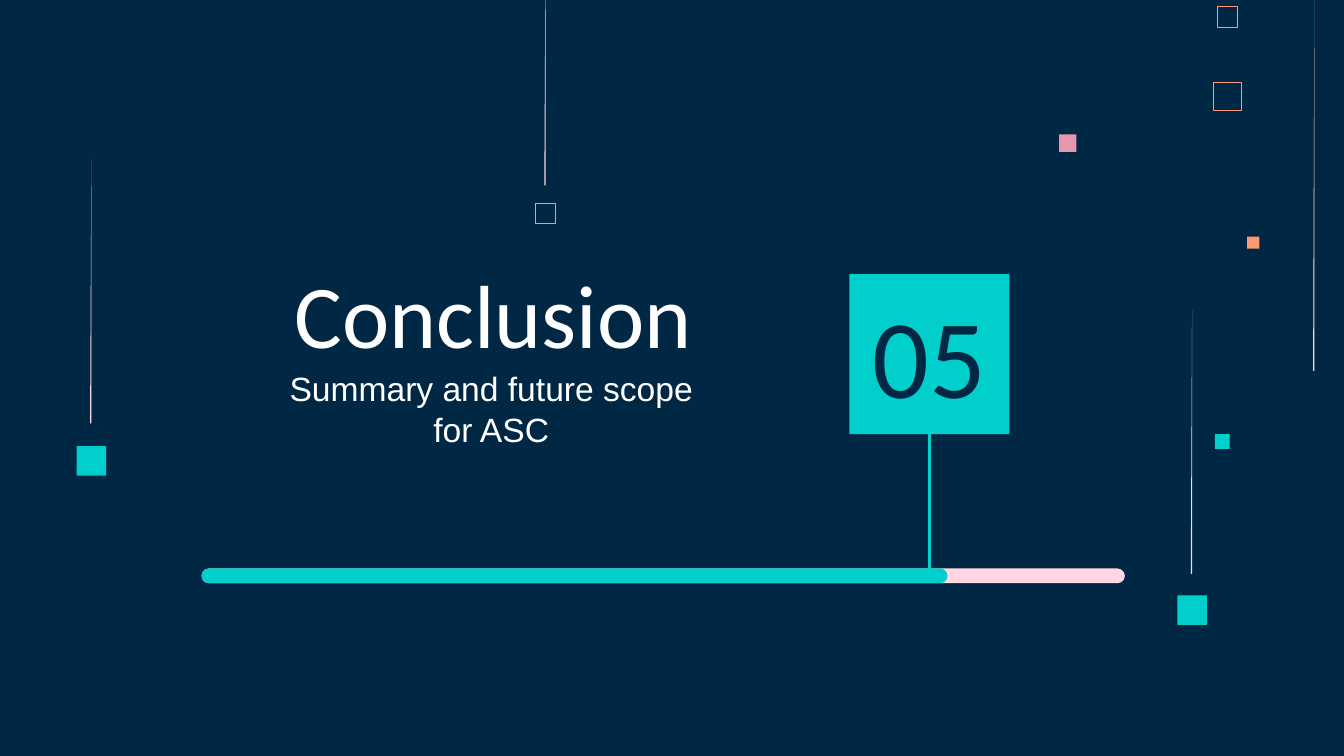
from lxml import etree
from pptx import Presentation
from pptx.dml.color import RGBColor
from pptx.enum.shapes import MSO_CONNECTOR, MSO_SHAPE
from pptx.enum.text import MSO_ANCHOR, MSO_AUTO_SIZE, PP_ALIGN
from pptx.oxml.ns import qn
from pptx.util import Inches, Pt

RECT, ROUNDED = MSO_SHAPE.RECTANGLE, MSO_SHAPE.ROUNDED_RECTANGLE
STRAIGHT = MSO_CONNECTOR.STRAIGHT
TOP, MIDDLE, BOTTOM = MSO_ANCHOR.TOP, MSO_ANCHOR.MIDDLE, MSO_ANCHOR.BOTTOM
CENTER, NO_FIT = PP_ALIGN.CENTER, MSO_AUTO_SIZE.NONE

NAVY, TEAL, PINK, ROSE, ORANGE, WHITE = (
    "002845", "00CFCC", "FFD6E1", "E898AC", "FF9973", "FFFFFF")


def rgb(value):
    return RGBColor.from_string(value)


class Deck:
    """Holds the style and the current slide."""

    heading, body = "Calibri", "Arial"

    def __init__(self, s):
        self.s = s
        s.background.fill.solid()
        s.background.fill.fore_color.rgb = rgb(NAVY)

    def paint(self, sp, fill=None, line=None, width=0.5):
        sp.shadow.inherit = False
        if fill:
            sp.fill.solid()
            sp.fill.fore_color.rgb = rgb(fill)
        else:
            sp.fill.background()
        if line:
            sp.line.color.rgb = rgb(line)
            sp.line.width = Pt(width)
        else:
            sp.line.fill.background()
        return sp

    def box(self, x, y, w, h, kind=RECT, **look):
        sp = self.s.shapes.add_shape(kind, Inches(x), Inches(y), Inches(w), Inches(h))
        if kind == ROUNDED:
            sp.adjustments[0] = 0.5
        return self.paint(sp, **look)

    def needle(self, x, y, h):
        """Thin streak that tapers to a point at the top."""
        right, bottom = Inches(x + 0.01), Inches(y + h)
        builder = self.s.shapes.build_freeform(right, Inches(y))
        builder.add_line_segments([(Inches(x), bottom), (right, bottom)], close=True)
        return self.paint(builder.convert_to_shape(), fill=PINK)

    def text(self, sp, words, place, size, color, font, anchor):
        sp.left, sp.top, sp.width, sp.height = map(Inches, place)
        tf = sp.text_frame
        frame = {"word_wrap": True, "auto_size": NO_FIT, "vertical_anchor": anchor}
        frame.update({f"margin_{side}": Inches(0.1)
                      for side in ("left", "top", "right", "bottom")})
        for name, value in frame.items():
            setattr(tf, name, value)
        p = tf.paragraphs[0]
        p.alignment = CENTER
        r = p.add_run()
        r.text = words
        for name, value in {"size": Pt(size), "name": font, "bold": False}.items():
            setattr(r.font, name, value)
        r.font.color.rgb = rgb(color)

    def title(self, words, place, **look):
        self.text(self.s.shapes.title, words, place, **look)

    def label(self, words, place, **look):
        self.text(self.s.shapes.add_textbox(0, 0, 0, 0), words, place, **look)

    def stem(self, sp, end_y, color, width):
        """Vertical line down from the bottom side of a box."""
        x = sp.left + sp.width // 2
        line = self.s.shapes.add_connector(
            STRAIGHT, x, sp.top + sp.height, x, Inches(end_y))
        line.begin_connect(sp, 2)
        line.line.color.rgb = rgb(color)
        line.line.width = Pt(width)
        etree.SubElement(line._element.spPr, qn("a:effectLst"))


def main():
    prs = Presentation()
    # Widescreen, 16:9
    prs.slide_width = Inches(10)
    prs.slide_height = prs.slide_width * 9 // 16
    deck = Deck(prs.slides.add_slide(prs.slide_layouts[5]))

    # Scattered squares
    for x, y, side, color in ((7.88, 1, 0.13, ROSE), (9.04, 3.23, 0.11, TEAL),
                              (9.28, 1.76, 0.09, ORANGE), (8.76, 4.43, 0.22, TEAL),
                              (0.57, 3.32, 0.22, TEAL)):
        deck.box(x, y, side, side, fill=color)
    for x, y, side, width in ((9.03, 0.61, 0.21, 0.45), (9.06, 0.05, 0.15, 0.32),
                              (3.98, 1.51, 0.15, 0.32)):
        deck.box(x, y, side, side, line=ORANGE, width=width)

    # Falling streaks
    for x, y, h in ((4.05, -0.48, 1.86), (9.77, 0, 2.76),
                    (8.86, 2.31, 1.96), (0.67, 1.19, 1.96)):
        deck.needle(x, y, h)

    # Section title and subtitle
    deck.title("Conclusion", (1.62, 1.91, 4.1, 0.92), size=48, color=WHITE,
               font=deck.heading, anchor=BOTTOM)
    deck.label("Summary and future scope for ASC", (1.96, 2.64, 3.39, 1.15),
               size=18, color=WHITE, font=deck.body, anchor=TOP)

    # Section number
    number_box = deck.box(6.32, 2.04, 1.19, 1.19, fill=TEAL)
    deck.label("05", (6.38, 2.32, 1.07, 0.63), size=60, color=NAVY,
               font=deck.heading, anchor=MIDDLE)

    # Progress bar and its marker
    for length, color in ((6.87, PINK), (5.55, TEAL)):
        deck.box(1.5, 4.23, length, 0.11, ROUNDED, fill=color)
    deck.stem(number_box, 4.3, TEAL, 1.5)

    prs.save("out.pptx")


if __name__ == "__main__":
    main()
